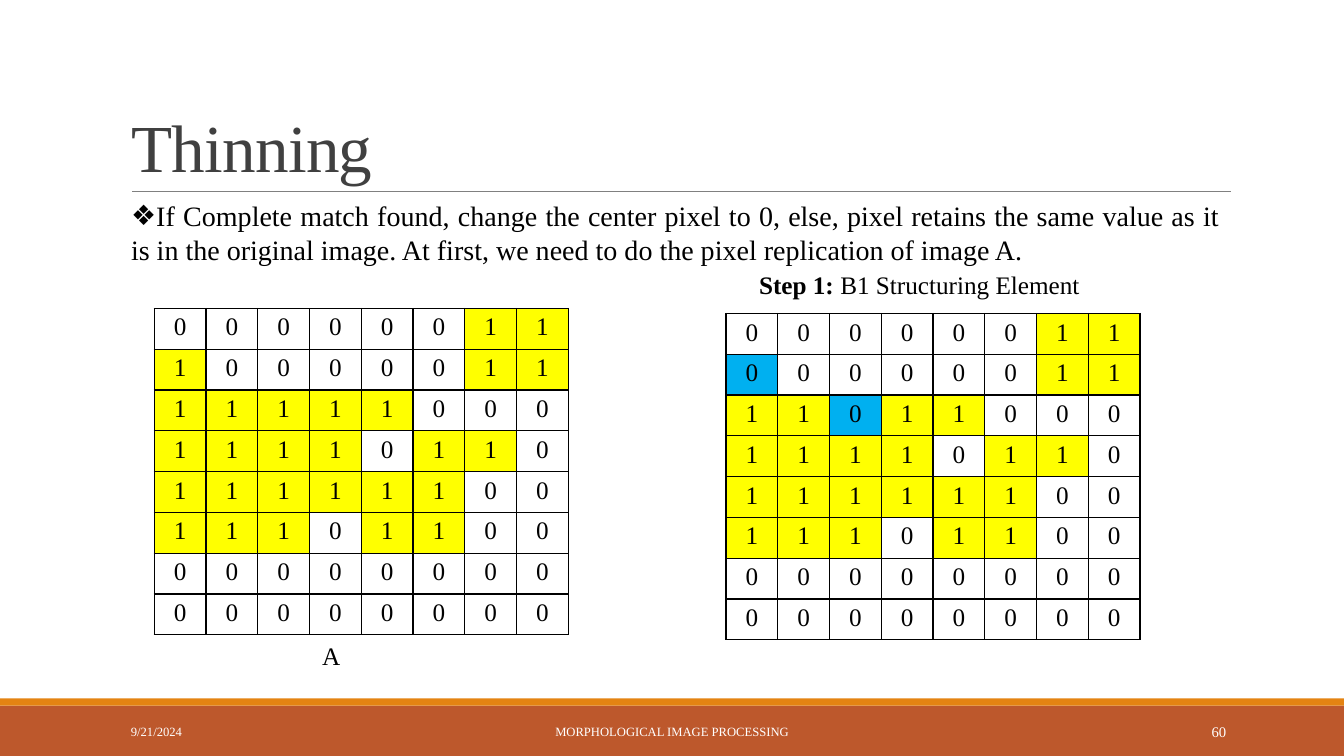
from lxml import etree
from pptx import Presentation
from pptx.dml.color import RGBColor
from pptx.enum.shapes import MSO_CONNECTOR, MSO_SHAPE
from pptx.enum.text import MSO_ANCHOR, MSO_AUTO_SIZE, PP_ALIGN
from pptx.oxml import parse_xml
from pptx.oxml.ns import nsdecls, qn
from pptx.util import Inches, Pt

LEFT, CENTER, RIGHT, JUSTIFY = PP_ALIGN.LEFT, PP_ALIGN.CENTER, PP_ALIGN.RIGHT, PP_ALIGN.JUSTIFY
TOP, MIDDLE, BOTTOM = MSO_ANCHOR.TOP, MSO_ANCHOR.MIDDLE, MSO_ANCHOR.BOTTOM
NO_FIT = MSO_AUTO_SIZE.NONE
RECTANGLE, STRAIGHT = MSO_SHAPE.RECTANGLE, MSO_CONNECTOR.STRAIGHT

FONT = "Times New Roman"
COLORS = {
    "black": "000000", "white": "FFFFFF", "title": "404040", "rule": "808080",
    "footer": "BD582C", "stripe": "E48312", "one": "FFFF00", "changed": "00B0F0",
}

IMAGE_A = [
    "00000011",
    "10000011",
    "11111000",
    "11110110",
    "11111100",
    "11101100",
    "00000000",
    "00000000",
]
CHANGED = {(1, 0), (2, 2)}

FOOTER = [
    (1.2, 2.7, "9/21/2024", 9, LEFT),
    (4.03, 5.27, "MORPHOLOGICAL IMAGE PROCESSING", 9, CENTER),
    (10.83, 1.43, "60", 10.5, RIGHT),
]


class SlideBuilder:
    def __init__(self, prs):
        self.s = prs.slides.add_slide(prs.slide_layouts[1])

    def color(self, name):
        return RGBColor.from_string(COLORS[name])

    def style(self, p, size, color, align):
        p.alignment = align
        p.font.name = FONT
        p.font.size = Pt(size)
        p.font.color.rgb = self.color(color)

    def place(self, sp, x, y, w, h):
        sp.left, sp.top, sp.width, sp.height = map(Inches, (x, y, w, h))

    def bar(self, y, h, color):
        sp = self.s.shapes.add_shape(RECTANGLE, 0, Inches(y), Inches(13.33), Inches(h))
        sp.shadow.inherit = False
        sp.fill.solid()
        sp.fill.fore_color.rgb = self.color(color)
        sp.line.fill.background()

    def rule(self, x1, x2, y):
        line = self.s.shapes.add_connector(
            STRAIGHT, Inches(x1), Inches(y), Inches(x2), Inches(y))
        line.line.color.rgb = self.color("rule")
        line.line.width = Pt(0.5)
        etree.SubElement(line._element.spPr, qn("a:effectLst"))

    def title(self, text, x, y, w, h):
        sp = self.s.shapes.title
        self.place(sp, x, y, w, h)
        tf = sp.text_frame
        tf.text = text
        tf.auto_size = NO_FIT
        tf.vertical_anchor = BOTTOM
        p = tf.paragraphs[0]
        p.line_spacing = 0.85
        self.style(p, 48, "title", LEFT)
        p.runs[0].font._element.set("spc", "-50")

    def bullet(self, text, x, y, w, h):
        sp = self.s.placeholders[1]
        self.place(sp, x, y, w, h)
        tf = sp.text_frame
        tf.text = text
        tf.auto_size = NO_FIT
        tf.vertical_anchor = TOP
        p = tf.paragraphs[0]
        p.space_before = Pt(0)
        self.style(p, 20, "black", JUSTIFY)
        pPr = p._p.get_or_add_pPr()
        pPr.set("marL", "0")
        pPr.set("indent", "0")
        pPr.insert_element_before(
            parse_xml(f'<a:buChar {nsdecls("a")} char="❖"/>'), "a:tabLst", "a:defRPr", "a:extLst")

    def text(self, parts, x, y, w, h, size, color, align, anchor=TOP):
        sp = self.s.shapes.add_textbox(0, 0, 0, 0)
        self.place(sp, x, y, w, h)
        tf = sp.text_frame
        tf.word_wrap = True
        tf.vertical_anchor = anchor
        p = tf.paragraphs[0]
        self.style(p, size, color, align)
        for part, bold in parts:
            r = p.add_run()
            r.text = part
            r.font.bold = bold

    def border(self, cell):
        tcPr = cell._tc.get_or_add_tcPr()
        for side in ("lnL", "lnR", "lnT", "lnB"):
            tcPr.append(parse_xml(
                f'<a:{side} {nsdecls("a")} w="12700"><a:solidFill>'
                f'<a:srgbClr val="{COLORS["black"]}"/></a:solidFill></a:{side}>'))

    def pixel_grid(self, x, y, changed=()):
        table = self.s.shapes.add_table(
            len(IMAGE_A), len(IMAGE_A[0]),
            Inches(x), Inches(y), Inches(4.11), Inches(3.24)).table
        for i, row in enumerate(IMAGE_A):
            for j, value in enumerate(row):
                fill = "one" if value == "1" else "white"
                if (i, j) in changed:
                    value, fill = "0", "changed"
                cell = table.cell(i, j)
                cell.text = value
                self.style(cell.text_frame.paragraphs[0], 18, "black", CENTER)
                self.border(cell)
                cell.fill.solid()
                cell.fill.fore_color.rgb = self.color(fill)


def main():
    prs = Presentation()
    prs.slide_width, prs.slide_height = Inches(13.33), Inches(7.5)
    b = SlideBuilder(prs)
    b.bar(7, 0.5, "footer")
    b.bar(6.93, 0.07, "stripe")
    b.rule(1.31, 12.21, 1.9)
    b.title("Thinning", 1.2, 0.31, 11, 1.59)
    b.bullet(
        "If Complete match found, change the center pixel to 0, else, pixel retains the "
        "same value as it is in the original image. At first, we need to do the pixel "
        "replication of image A.", 1.2, 1.92, 11, 1.11)
    b.pixel_grid(1.53, 3.06)
    b.text([("A", False)], 2.43, 6.3, 1.71, 0.4, 18, "black", CENTER)
    b.pixel_grid(7.2, 3.11, CHANGED)
    b.text([("Step 1: ", True), ("B1 Structuring Element", False)],
           7.43, 2.62, 3.88, 0.4, 18, "black", LEFT)
    for x, w, label, size, align in FOOTER:
        b.text([(label, False)], x, 7.06, w, 0.4, size, "white", align, MIDDLE)
    prs.save("out.pptx")


if __name__ == "__main__":
    main()
